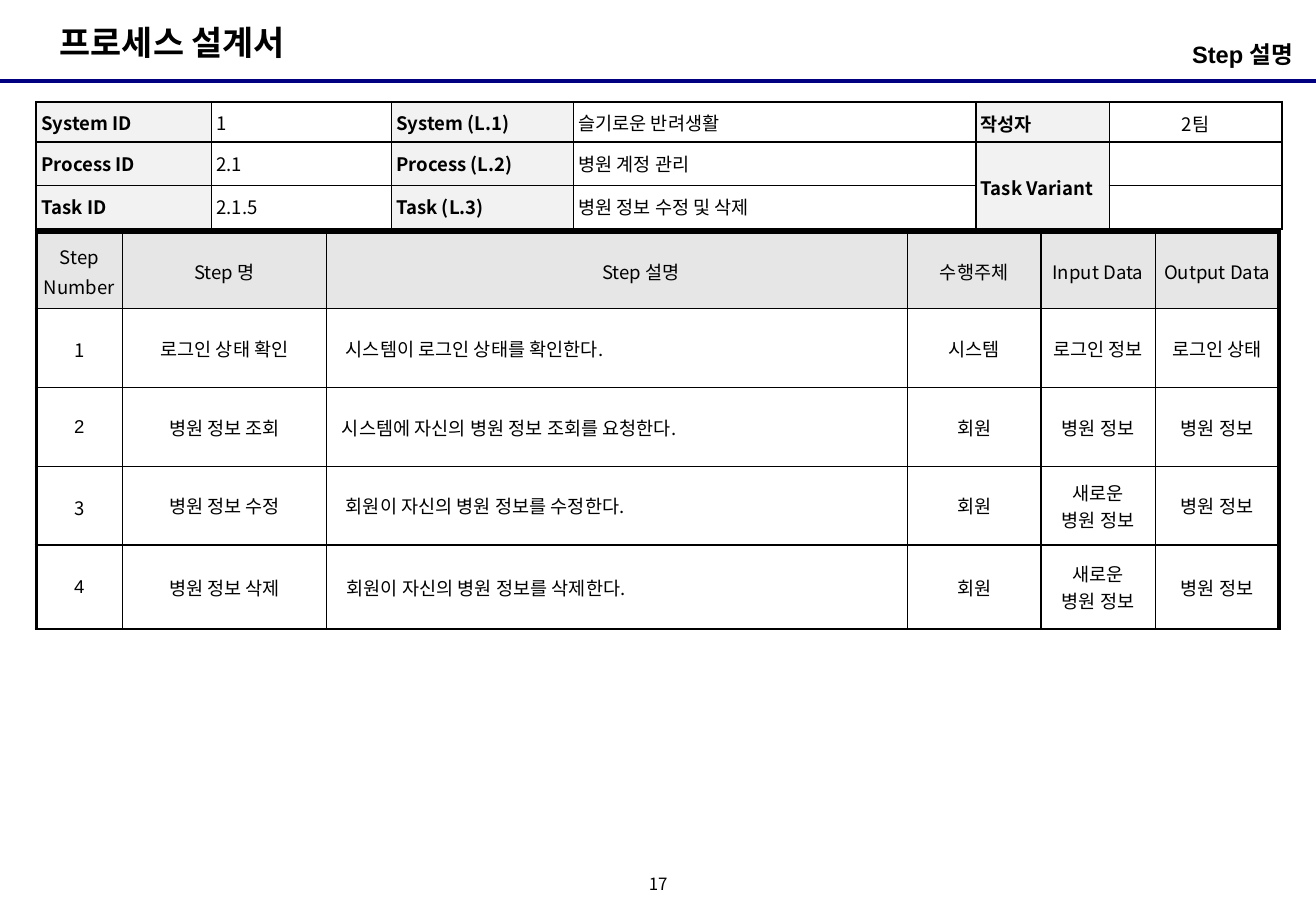
import pptx
import pptx.util
import pptx.dml.color
import pptx.enum.shapes
import pptx.enum.text
import pptx.oxml.ns
import lxml.etree

Cm = pptx.util.Cm
Pt = pptx.util.Pt
ALIGN = pptx.enum.text.PP_ALIGN
ANCHOR = pptx.enum.text.MSO_ANCHOR
qn = pptx.oxml.ns.qn

COLORS = {"text": "000000", "rule": "000080", "label": "F2F2F2",
          "header": "E6E6E6", "cell": "FFFFFF"}
KOREAN = "Noto Sans CJK KR"
LATIN = "Arial"

INFO_COLUMNS = [3.66, 3.76, 3.81, 8.41, 2.79, 3.61]
INFO_HEIGHTS = [0.84, 0.91, 0.91]
INFO_ROWS = [
    ["System ID", "1", "System (L.1)", "슬기로운 반려생활", "작성자", "2팀"],
    ["Process ID", "2.1", "Process (L.2)", "병원 계정 관리", "Task Variant", ""],
    ["Task ID", "2.1.5", "Task (L.3)", "병원 정보 수정 및 삭제", "", ""],
]
STEP_COLUMNS = [1.8, 4.27, 12.14, 2.79, 2.39, 2.59]
STEP_HEIGHTS = [1.6, 1.65, 1.65, 1.65, 1.75]
STEP_ROWS = [
    ["Step Number", "Step 명", "Step 설명", "수행주체", "Input Data", "Output Data"],
    ["1", "로그인 상태 확인", "시스템이 로그인 상태를 확인한다.", "시스템", "로그인 정보", "로그인 상태"],
    ["2", "병원 정보 조회", "시스템에 자신의 병원 정보 조회를 요청한다.", "회원", "병원 정보", "병원 정보"],
    ["3", "병원 정보 수정", "회원이 자신의 병원 정보를 수정한다.", "회원", "새로운\n병원 정보", "병원 정보"],
    ["4", "병원 정보 삭제", "회원이 자신의 병원 정보를 삭제한다.", "회원", "새로운\n병원 정보", "병원 정보"],
]
DESCRIPTION_INDENTS = [1, 0.25, 0.17, 0.25, 0.27]


def rgb(name):
    return pptx.dml.color.RGBColor.from_string(COLORS[name])


def write(frame, text, size, font=KOREAN, bold=False, align=ALIGN.LEFT,
          spacing=None, indent=0):
    """Fill a text frame, one paragraph per line of text."""
    frame.text = text
    for paragraph in frame.paragraphs:
        paragraph.alignment = align
        paragraph.line_spacing = spacing
        properties = paragraph._p.get_or_add_pPr()
        if indent:
            properties.set("marL", str(Cm(indent)))
            properties.set("indent", "0")
        paragraph.font.size = Pt(size)
        paragraph.font.bold = bold
        paragraph.font.color.rgb = rgb("text")
        paragraph.font.name = font
        east_asian = lxml.etree.Element(qn("a:ea"), typeface=KOREAN)
        properties.find(qn("a:defRPr")).find(qn("a:latin")).addnext(east_asian)


def add_text(slide, box, text, size, margins, anchor=ANCHOR.TOP, **style):
    shape = slide.shapes.add_textbox(*(Cm(length) for length in box))
    frame = shape.text_frame
    frame.word_wrap = True
    frame.vertical_anchor = anchor
    (frame.margin_left, frame.margin_top,
     frame.margin_right, frame.margin_bottom) = (Cm(margin) for margin in margins)
    write(frame, text, size, **style)


def set_borders(cell, widths):
    """Draw left, right, top and bottom borders with widths in points."""
    properties = cell._tc.get_or_add_tcPr()
    for side, width in zip("LRTB", widths):
        line = lxml.etree.SubElement(properties, qn("a:ln" + side), w=str(Pt(width)))
        fill = lxml.etree.SubElement(line, qn("a:solidFill"))
        lxml.etree.SubElement(fill, qn("a:srgbClr"), val=COLORS["text"])


def add_grid(slide, left, top, columns, heights, outer, margins):
    """Add an empty bordered table; outer holds its four edge widths."""
    table = slide.shapes.add_table(
        len(heights), len(columns), Cm(left), Cm(top),
        Cm(sum(columns)), Cm(sum(heights))).table
    table.first_row = table.horz_banding = False
    for column, width in zip(table.columns, columns):
        column.width = Cm(width)
    for row, height in zip(table.rows, heights):
        row.height = Cm(height)
    for r in range(len(heights)):
        for c in range(len(columns)):
            cell = table.cell(r, c)
            at_edge = (c == 0, c == len(columns) - 1, r == 0, r == len(heights) - 1)
            set_borders(cell, [edge if touches else 1
                               for edge, touches in zip(outer, at_edge)])
            cell.margin_left = cell.margin_right = Cm(margins[0])
            cell.margin_top = cell.margin_bottom = Cm(margins[1])
    return table


def fill_cell(cell, color):
    cell.fill.solid()
    cell.fill.fore_color.rgb = rgb(color)


def add_heading(slide, width, rule_top):
    rule = slide.shapes.add_connector(
        pptx.enum.shapes.MSO_CONNECTOR.STRAIGHT, 0, Cm(rule_top), Cm(width), Cm(rule_top))
    rule.line.color.rgb = rgb("rule")
    rule.line.width = Pt(2.25)
    lxml.etree.SubElement(rule._element.spPr, qn("a:effectLst"))
    add_text(slide, (1, rule_top - 1.37, 5.72, 1.12), "프로세스 설계서", 20,
             (0.25, 0.13, 0.25, 0.13), font=LATIN, bold=True)
    add_text(slide, (width - 8.74, rule_top - 0.99, 8.41, 0.99), "Step 설명", 14,
             (0, 0.13, 0.14, 0.13), font=LATIN, bold=True, align=ALIGN.RIGHT)


def add_info_table(slide, left, top):
    table = add_grid(slide, left, top, INFO_COLUMNS, INFO_HEIGHTS, [1.5] * 4, (0.1, 0.1))
    for r, texts in enumerate(INFO_ROWS):
        for c, text in enumerate(texts):
            cell = table.cell(r, c)
            is_label = c % 2 == 0
            fill_cell(cell, "label" if is_label else "cell")
            cell.vertical_anchor = ANCHOR.MIDDLE if c > 3 else ANCHOR.TOP
            write(cell.text_frame, text, 11, bold=is_label, spacing=1.1,
                  align=ALIGN.CENTER if c == 5 else ALIGN.LEFT)
    table.cell(1, 4).merge(table.cell(2, 4))


def add_step_table(slide, left, top):
    table = add_grid(slide, left, top, STEP_COLUMNS, STEP_HEIGHTS,
                     [2.25, 2.25, 2.25, 1], (0.15, 0.1))
    for r, texts in enumerate(STEP_ROWS):
        for c, text in enumerate(texts):
            cell = table.cell(r, c)
            is_description = c == 2
            fill_cell(cell, "header" if r == 0 else "cell")
            cell.vertical_anchor = ANCHOR.MIDDLE
            write(cell.text_frame, text, 11,
                  font=LATIN if text in ("2", "4") else KOREAN,
                  align=ALIGN.LEFT if is_description and r else ALIGN.CENTER,
                  spacing=1.1 if r == 0 or text in ("1", "3") else None,
                  indent=DESCRIPTION_INDENTS[r] if is_description else 0)


def add_page_number(slide, left, top):
    add_text(slide, (left, top, 0.84, 0.64), "17", 10, (0, 0, 0, 0),
             anchor=ANCHOR.MIDDLE, align=ALIGN.CENTER, spacing=0.8)


def main():
    presentation = pptx.Presentation()
    presentation.slide_width = Cm(27.51)
    presentation.slide_height = Cm(19.05)
    slide = presentation.slides.add_slide(presentation.slide_layouts[6])
    add_heading(slide, 27.51, 1.7)
    add_page_number(slide, 13.34, 18.21)
    add_step_table(slide, 0.76, 4.85)
    add_info_table(slide, 0.76, 2.13)
    presentation.save("out.pptx")


if __name__ == "__main__":
    main()
